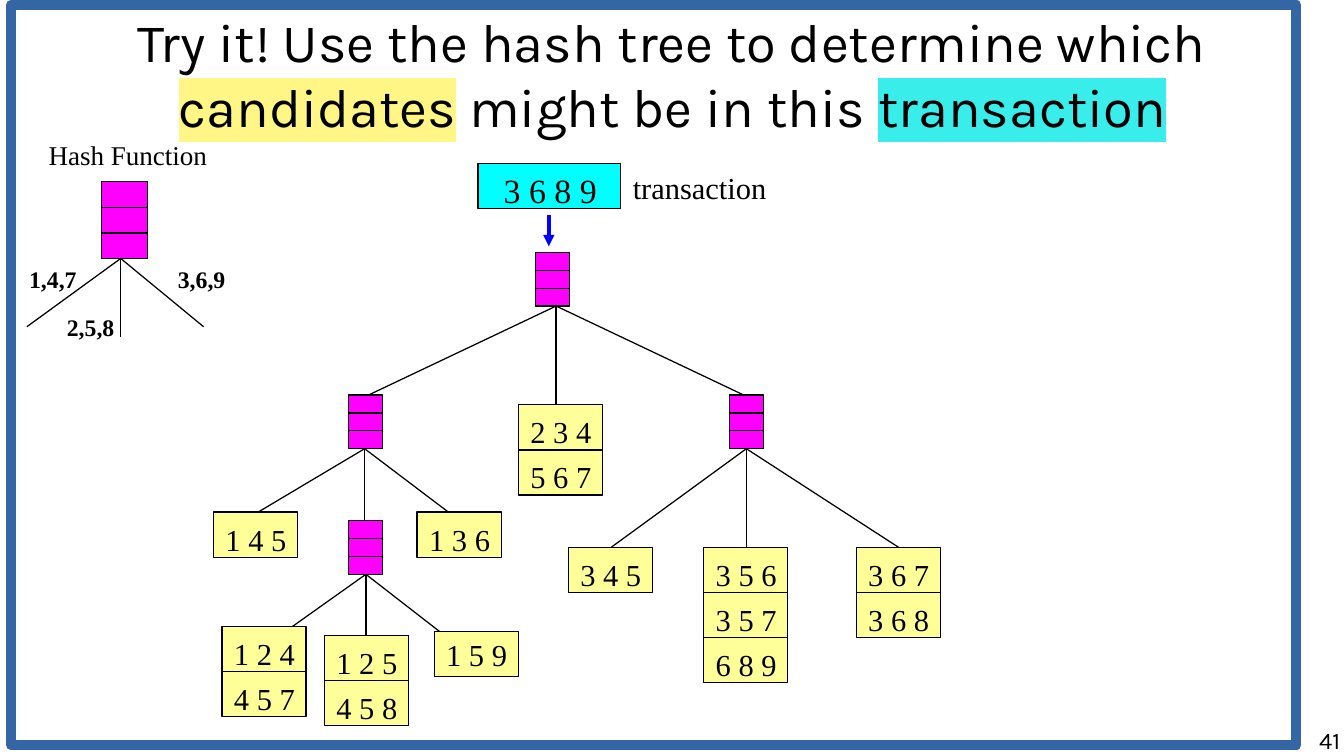
import pptx
import pptx.util
import pptx.dml.color
import pptx.enum.shapes
import pptx.enum.text
import pptx.oxml
import pptx.oxml.ns
from pptx.util import Inches

RGBColor = pptx.dml.color.RGBColor
BLACK = RGBColor(0x00, 0x00, 0x00)
MAGENTA = RGBColor(0xFF, 0x00, 0xFF)
PALE_YELLOW = RGBColor(0xFF, 0xFF, 0x99)
CYAN = RGBColor(0x00, 0xFF, 0xFF)
ARROW_BLUE = RGBColor(0x00, 0x00, 0xFF)
FRAME_BLUE = RGBColor(0x34, 0x65, 0xA4)
MARK_YELLOW = RGBColor(0xFF, 0xF6, 0x85)
MARK_TEAL = RGBColor(0x39, 0xED, 0xEA)
SERIF, SANS = "Times New Roman", "Karla"

# Content: title spans with their highlight
TITLE = [
    ("Try it! Use the hash tree to determine which ", None),
    ("candidates", MARK_YELLOW),
    (" might be in this ", None),
    ("transaction", MARK_TEAL),
]
# Hash nodes: left, top, width, height
NODES = [
    (4.39, 2.07, 0.28, 0.44),
    (2.86, 3.24, 0.28, 0.44),
    (5.98, 3.24, 0.28, 0.44),
    (2.86, 4.27, 0.28, 0.44),
    (0.83, 1.49, 0.38, 0.63),
]
# Branches: start point, then the three end points
BRANCHES = [
    ((4.56, 2.51), [(3, 3.25), (4.56, 3.32), (6.12, 3.25)]),
    ((2.99, 3.68), [(2.1, 4.21), (2.99, 4.27), (3.69, 4.21)]),
    ((6.12, 3.68), [(5.01, 4.49), (6.12, 4.49), (7.37, 4.49)]),
    ((3, 4.71), [(2.17, 5.3), (3, 5.37), (3.76, 5.3)]),
    ((0.99, 2.12), [(0.22, 2.68), (0.99, 2.76), (1.67, 2.68)]),
]
# Leaves: left, top, text inset, stacked candidates
LEAVES = [
    (1.75, 4.2, 0.07, ["1 4 5"]),
    (3.42, 4.2, 0.07, ["1 3 6"]),
    (4.25, 3.32, 0.07, ["2 3 4", "5 6 7"]),
    (4.66, 4.49, 0.07, ["3 4 5"]),
    (5.77, 4.49, 0.07, ["3 5 6", "3 5 7", "6 8 9"]),
    (7.02, 4.49, 0.07, ["3 6 7", "3 6 8"]),
    (1.82, 5.14, 0.07, ["1 2 4", "4 5 7"]),
    (2.66, 5.21, 0.07, ["1 2 5", "4 5 8"]),
    (3.56, 5.18, 0.04, ["1 5 9"]),
]
LEAF_WIDTH, LEAF_HEIGHT = 0.69, 0.37
# Labels: text, left, top, width, height, size, bold
LABELS = [
    ("Hash Function", 0.3, 1.09, 1.5, 0.37, 16, False),
    ("1,4,7", 0.14, 2.12, 0.59, 0.33, 14, True),
    ("2,5,8", 0.45, 2.52, 0.59, 0.33, 14, True),
    ("3,6,9", 1.36, 2.12, 0.59, 0.33, 14, True),
    ("transaction", 5.09, 1.34, 1.29, 0.4, 18, False),
]

deck = pptx.Presentation()
deck.slide_width, deck.slide_height = Inches(11.02), Inches(6.2)
page = deck.slides.add_slide(deck.slide_layouts[5])


def add_span(para, text, size=18, font=SERIF, bold=False, highlight=None):
    span = para.add_run()
    span.text = text
    span.font.size = pptx.util.Pt(size)
    span.font.bold = bold
    span.font.color.rgb = BLACK
    span.font.name = font
    if highlight is not None:
        mark = pptx.oxml.parse_xml(
            f'<a:highlight {pptx.oxml.ns.nsdecls("a")}><a:srgbClr val="{highlight}"/></a:highlight>')
        span._r.rPr.find(pptx.oxml.ns.qn("a:solidFill")).addnext(mark)


def set_frame(shape, insets=(0, 0, 0, 0), wrap=True, anchor="TOP", align="LEFT"):
    frame = shape.text_frame
    frame.margin_left, frame.margin_top, frame.margin_right, frame.margin_bottom = map(Inches, insets)
    frame.word_wrap = wrap
    frame.auto_size = pptx.enum.text.MSO_AUTO_SIZE.NONE
    frame.vertical_anchor = pptx.enum.text.MSO_ANCHOR[anchor]
    frame.paragraphs[0].alignment = pptx.enum.text.PP_ALIGN[align]
    return frame.paragraphs[0]


def add_box(left, top, width, height, fill=None, line=BLACK, weight=0.75):
    box = page.shapes.add_shape(pptx.enum.shapes.MSO_SHAPE.RECTANGLE,
                                *map(Inches, (left, top, width, height)))
    box.shadow.inherit = False
    if fill is None:
        box.fill.background()
    else:
        box.fill.solid()
        box.fill.fore_color.rgb = fill
    box.line.color.rgb = line
    box.line.width = pptx.util.Pt(weight)
    return box


def add_line(start, end, color=BLACK, weight=0.75, arrow=False):
    line = page.shapes.add_connector(pptx.enum.shapes.MSO_CONNECTOR.STRAIGHT,
                                     *map(Inches, (*start, *end)))
    line.line.color.rgb = color
    line.line.width = pptx.util.Pt(weight)
    namespace = pptx.oxml.ns.nsdecls("a")
    if arrow:
        line.line._get_or_add_ln().append(
            pptx.oxml.parse_xml(f'<a:tailEnd {namespace} type="triangle"/>'))
    line._element.spPr.append(pptx.oxml.parse_xml(f"<a:effectLst {namespace}/>"))


def add_label(text, left, top, width, height, insets=(0.1, 0.05, 0.1, 0.05),
              wrap=False, align="LEFT", **style):
    box = page.shapes.add_textbox(*map(Inches, (left, top, width, height)))
    add_span(set_frame(box, insets, wrap, align=align), text, **style)


# Title
title = page.shapes.title
title.left, title.top, title.width, title.height = map(Inches, (0.05, 0, 10.93, 1.21))
title_para = set_frame(title, anchor="MIDDLE", align="CENTER")
for text, highlight in TITLE:
    add_span(title_para, text, size=32, font=SANS, highlight=highlight)

# Branches, then hash nodes split in three
for start, ends in BRANCHES:
    for end in ends:
        add_line(start, end)
for left, top, width, height in NODES:
    add_box(left, top, width, height, fill=MAGENTA)
    for third in (1, 2):
        level = top + height * third / 3
        add_line((left, level), (left + width, level))

# Leaves with stacked candidates
for left, top, inset, candidates in LEAVES:
    for row, candidate in enumerate(candidates):
        leaf = add_box(left, top + row * LEAF_HEIGHT, LEAF_WIDTH, LEAF_HEIGHT, fill=PALE_YELLOW)
        add_span(set_frame(leaf, (0.1, inset, 0, 0), wrap=False), candidate)

# Transaction and its arrow to the root
transaction = add_box(3.92, 1.34, 1.17, 0.37, fill=CYAN)
add_span(set_frame(transaction, (0.21, 0.05, 0, 0), wrap=False), "3 6 8 9", size=20)
add_line((4.5, 1.76), (4.5, 2.02), color=ARROW_BLUE, weight=2.25, arrow=True)

# Labels, page frame and page number
for text, left, top, width, height, size, bold in LABELS:
    add_label(text, left, top, width, height, size=size, bold=bold)
add_box(0.09, 0.04, 10.54, 6.07, line=FRAME_BLUE, weight=6)
add_label("41", 8.42, 5.95, 2.57, 0.25, insets=(0, 0, 0, 0), wrap=True,
          align="RIGHT", size=14, font=SANS)

deck.save("out.pptx")
